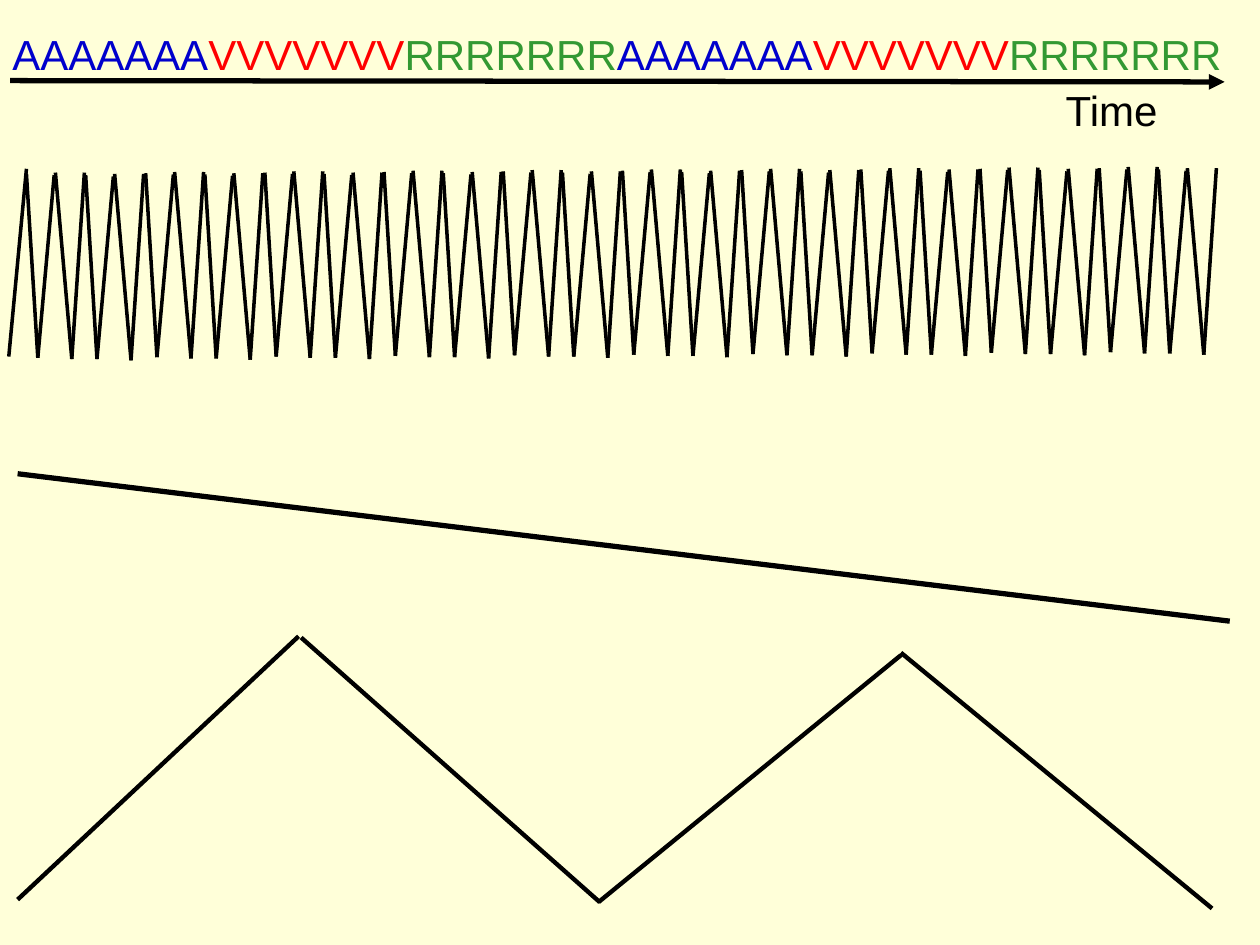
import pptx
import pptx.dml.color
import pptx.enum.shapes
import pptx.oxml.ns
import pptx.util
from lxml import etree
from pptx.util import Inches

BLACK = "000000"
LETTER_COLORS = {"A": "0000CC", "V": "FF0000", "R": "339933"}
LETTERS_PER_BLOCK = 7
PAIR_COUNT = 10
PAIR_PERIOD = 0.95
PAIR_DRIFT = -0.005
CYCLE_STROKES = [
    ((0, 0), (0.09, 1.46)),
    ((0.09, 1.46), (0.22, 0.01)),
    ((0.23, -0.01), (0.36, 1.47)),
    ((0.36, 1.47), (0.46, -0.01)),
]
SLOW_STROKES = [
    ((0.14, 7.14), (2.37, 5.05)),
    ((2.39, 5.06), (4.76, 7.16)),
    ((4.75, 7.16), (7.15, 5.2)),
    ((7.15, 5.18), (9.62, 7.21)),
]


def rgb(color):
    """Turn a hex string into a colour."""
    return pptx.dml.color.RGBColor.from_string(color)


def add_label(slide, left, top, width, height, parts):
    """Add one line of text made of (wording, colour) parts."""
    label = slide.shapes.add_textbox(
        Inches(left), Inches(top), Inches(width), Inches(height)
    )
    label.text_frame.word_wrap = True
    paragraph = label.text_frame.paragraphs[0]
    for wording, color in parts:
        run = paragraph.add_run()
        run.text = wording
        run.font.name = "Arial"
        run.font.size = pptx.util.Pt(24)
        run.font.color.rgb = rgb(color)


def add_stroke(slide, start, end, weight, arrow=False):
    """Draw a straight black line, with an arrowhead at its end if wanted."""
    stroke = slide.shapes.add_connector(
        pptx.enum.shapes.MSO_CONNECTOR.STRAIGHT,
        *(Inches(value) for value in (*start, *end)),
    )
    stroke.line.color.rgb = rgb(BLACK)
    stroke.line.width = pptx.util.Pt(weight)
    if arrow:
        outline = stroke.line._get_or_add_ln()
        etree.SubElement(outline, pptx.oxml.ns.qn("a:tailEnd"), type="triangle")
    properties = stroke._element.spPr
    etree.SubElement(properties, pptx.oxml.ns.qn("a:effectLst"))


def add_fast_wave(slide):
    """Draw the fast zigzag as slowly rising pairs of cycles."""
    add_stroke(slide, (0.07, 2.83), (0.21, 1.34), 2)
    for pair in range(PAIR_COUNT):
        for shift_x, shift_y in ((0, 0), (0.47, 0.01)):
            left = 0.21 + pair * (PAIR_PERIOD - 0.004) + shift_x
            top = 1.38 + pair * PAIR_DRIFT + shift_y
            for start, end in CYCLE_STROKES:
                add_stroke(
                    slide,
                    (left + start[0], top + start[1]),
                    (left + end[0], top + end[1]),
                    2,
                )


def main():
    """Build the slide and save it."""
    deck = pptx.Presentation()
    deck.slide_width, deck.slide_height = Inches(10), Inches(7.5)
    slide = deck.slides.add_slide(deck.slide_layouts[6])
    slide.background.fill.solid()
    slide.background.fill.fore_color.rgb = rgb("FFFFD9")

    blocks = [
        (letter * LETTERS_PER_BLOCK, LETTER_COLORS[letter]) for letter in "AVRAVR"
    ]
    add_label(slide, 0, 0.18, 10, 0.5, blocks)
    add_stroke(slide, (0.08, 0.64), (9.72, 0.65), 3, arrow=True)
    add_label(slide, 8.36, 0.62, 1.17, 0.5, [("Time", BLACK)])
    add_stroke(slide, (0.14, 3.76), (9.76, 4.93), 3)
    add_fast_wave(slide)
    for start, end in SLOW_STROKES:
        add_stroke(slide, start, end, 2.5)
    deck.save("out.pptx")


if __name__ == "__main__":
    main()
